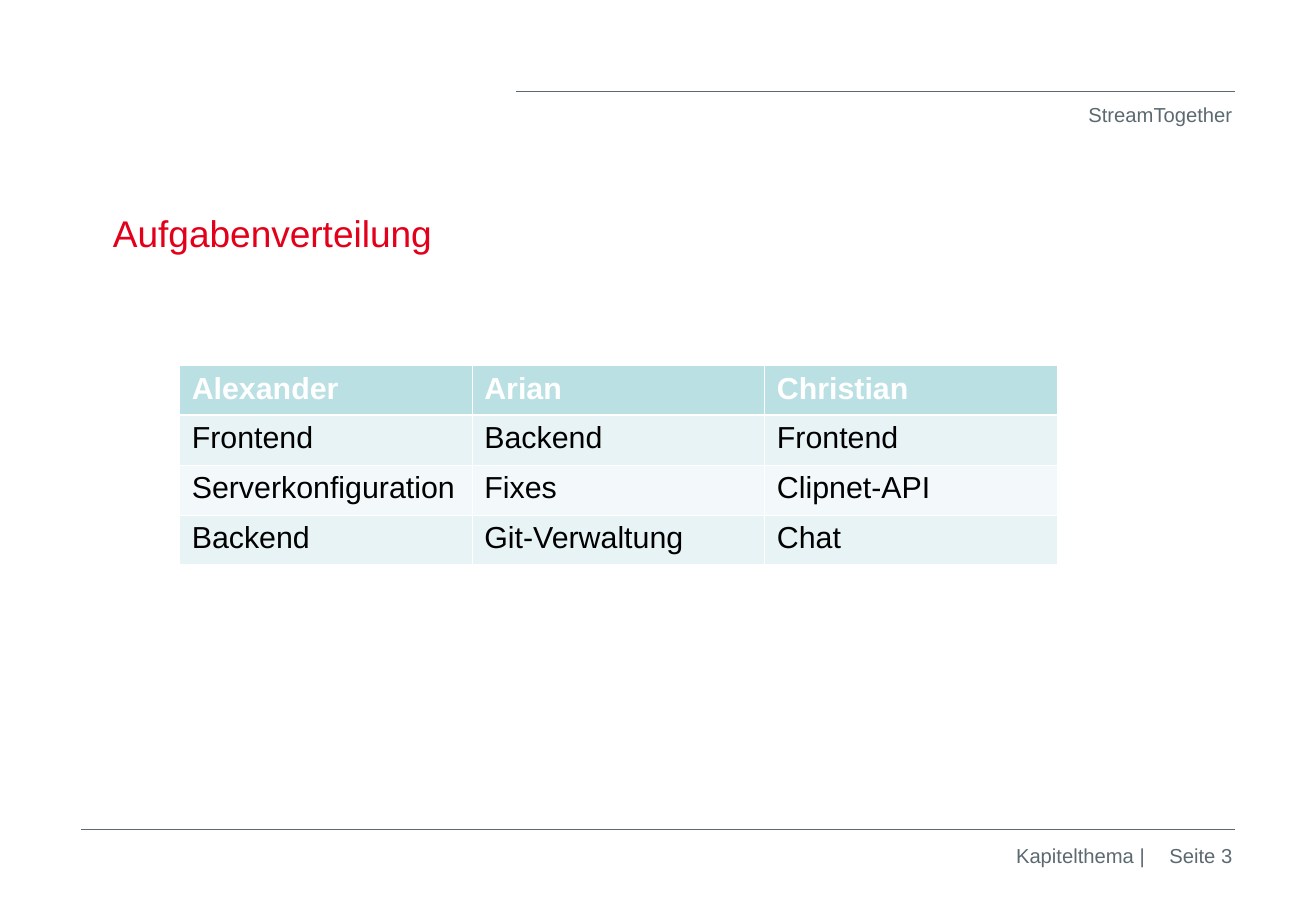
import pptx
import pptx.util
import pptx.dml.color
import pptx.enum.shapes
import pptx.enum.text
import pptx.oxml
import pptx.oxml.ns
from pptx.util import Inches

FONT = "Arial"
COLOURS = {
    "red": "E2001A", "grey": "5C6971", "white": "FFFFFF", "black": "000000",
    "header": "BBE0E3", "odd_row": "E7F3F4", "even_row": "F3F9FA",
}
TITLE = "Aufgabenverteilung"
# text, left, top, width, height
LABELS = [
    ("StreamTogether", 6.92, 0.79, 3.33, 0.5),
    ("Kapitelthema |", 3.18, 6.89, 6.35, 0.3),
    ("Seite 3", 9.25, 6.89, 1, 0.5),
]
# left, right, height on the slide
RULES = [(4.25, 10.17, 0.75), (0.67, 10.17, 6.83)]
TASKS = [
    ["Alexander", "Arian", "Christian"],
    ["Frontend", "Backend", "Frontend"],
    ["Serverkonfiguration", "Fixes", "Clipnet-API"],
    ["Backend", "Git-Verwaltung", "Chat"],
]
TABLE_LEFT, TABLE_TOP = 1.48, 3.01
COLUMN_WIDTH, ROW_HEIGHT = 2.41, 0.41
THIN, THICK = 0.45, 1.47


def colour(name):
    return pptx.dml.color.RGBColor.from_string(COLOURS[name])


def write(frame, text, *, size, ink, bold=False, align="LEFT"):
    paragraph = frame.paragraphs[0]
    paragraph.alignment = getattr(pptx.enum.text.PP_ALIGN, align)
    run = paragraph.add_run()
    run.text = text
    run.font.name = FONT
    run.font.size = pptx.util.Pt(size)
    run.font.bold = bold
    run.font.color.rgb = colour(ink)


def add_title(slide):
    title = slide.shapes.title
    title.left, title.top = Inches(0.83), Inches(1.58)
    title.width, title.height = Inches(9.33), Inches(0.92)
    frame = title.text_frame
    frame.auto_size = pptx.enum.text.MSO_AUTO_SIZE.NONE
    frame.vertical_anchor = pptx.enum.text.MSO_ANCHOR.BOTTOM
    frame.margin_bottom = Inches(0.4)
    write(frame, TITLE, size=22, ink="red")


def add_label(slide, text, *box):
    shape = slide.shapes.add_textbox(*map(Inches, box))
    shape.text_frame.word_wrap = True
    write(shape.text_frame, text, size=12, ink="grey", align="RIGHT")


def add_rule(slide, left, right, height):
    line = slide.shapes.add_connector(
        pptx.enum.shapes.MSO_CONNECTOR.STRAIGHT,
        Inches(left), Inches(height), Inches(right), Inches(height))
    line.line.color.rgb = colour("grey")
    line.line.width = pptx.util.Pt(0.25)
    effects = pptx.oxml.parse_xml(f'<a:effectLst {pptx.oxml.ns.nsdecls("a")}/>')
    line._element.spPr.append(effects)


def set_borders(cell, **widths):
    """Draw white borders; widths in points are keyed by L, R, T and B."""
    properties = cell._tc.get_or_add_tcPr()
    for side, width in widths.items():
        properties.append(pptx.oxml.parse_xml(
            f'<a:ln{side} {pptx.oxml.ns.nsdecls("a")} w="{pptx.util.Pt(width)}">'
            f'<a:solidFill><a:srgbClr val="{COLOURS["white"]}"/></a:solidFill>'
            f'</a:ln{side}>'))


def add_task_table(slide):
    rows, columns = len(TASKS), len(TASKS[0])
    table = slide.shapes.add_table(
        rows, columns, Inches(TABLE_LEFT), Inches(TABLE_TOP),
        Inches(COLUMN_WIDTH * columns), Inches(ROW_HEIGHT * rows)).table
    for column in table.columns:
        column.width = Inches(COLUMN_WIDTH)
    for row_index, tasks in enumerate(TASKS):
        table.rows[row_index].height = Inches(ROW_HEIGHT)
        is_header = row_index == 0
        fill = "header" if is_header else "odd_row" if row_index % 2 else "even_row"
        for column_index, task in enumerate(tasks):
            cell = table.cell(row_index, column_index)
            set_borders(cell, L=THIN, R=THIN,
                        T=THICK if row_index == 1 else THIN,
                        B=THICK if is_header else THIN)
            cell.fill.solid()
            cell.fill.fore_color.rgb = colour(fill)
            write(cell.text_frame, task, size=18, bold=is_header,
                  ink="white" if is_header else "black")


def main():
    presentation = pptx.Presentation()
    presentation.slide_width, presentation.slide_height = Inches(10.84), Inches(7.5)
    slide = presentation.slides.add_slide(presentation.slide_layouts[5])
    for rule in RULES:
        add_rule(slide, *rule)
    for label in LABELS:
        add_label(slide, *label)
    add_title(slide)
    add_task_table(slide)
    presentation.save("out.pptx")


if __name__ == "__main__":
    main()
